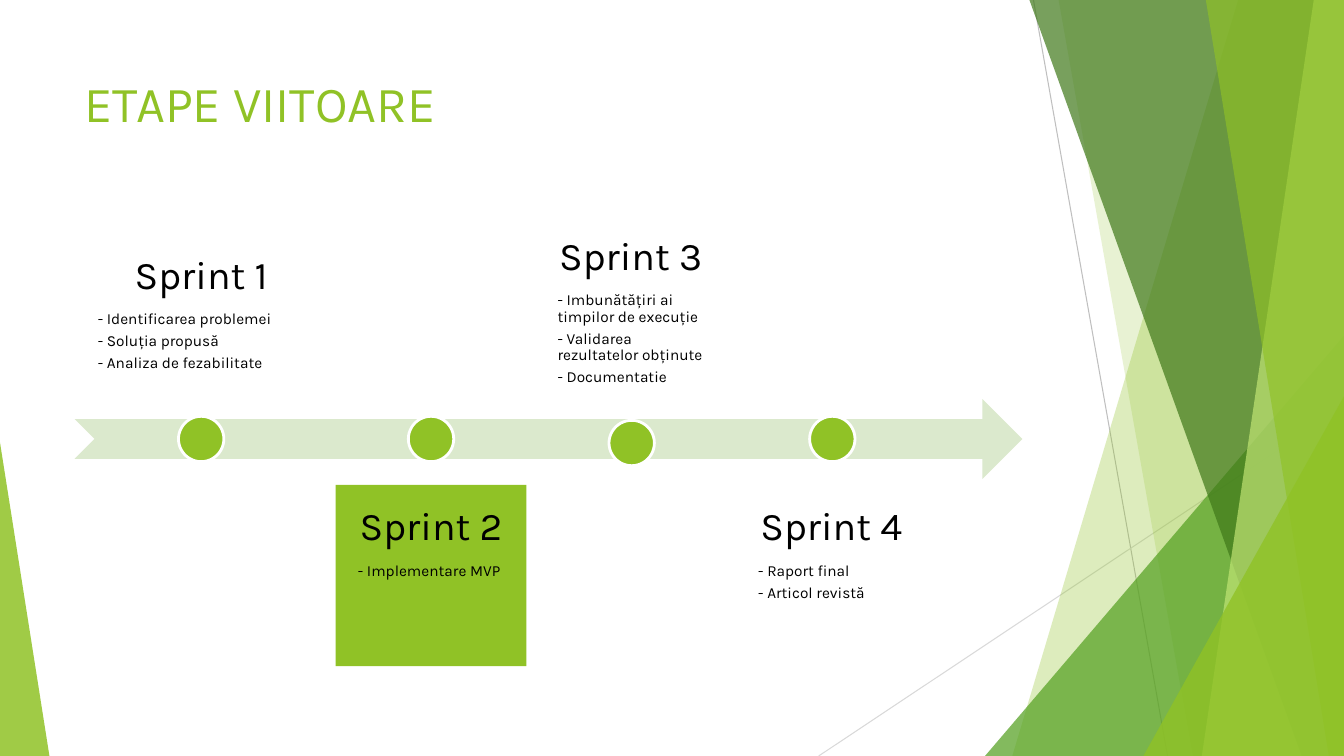
from dataclasses import dataclass

from lxml import etree
from pptx import Presentation
from pptx.dml.color import RGBColor
from pptx.enum.shapes import MSO_CONNECTOR, MSO_SHAPE
from pptx.enum.text import MSO_ANCHOR, PP_ALIGN
from pptx.oxml.ns import qn
from pptx.shapes.autoshape import Shape
from pptx.slide import Slide
from pptx.text.text import TextFrame
from pptx.util import Inches, Pt

LINE = MSO_CONNECTOR.STRAIGHT
TRIANGLE, OVAL = MSO_SHAPE.ISOSCELES_TRIANGLE, MSO_SHAPE.OVAL
ARROW = MSO_SHAPE.NOTCHED_RIGHT_ARROW
TOP, BOTTOM = MSO_ANCHOR.TOP, MSO_ANCHOR.BOTTOM
LEFT, CENTER = PP_ALIGN.LEFT, PP_ALIGN.CENTER

WIDTH, HEIGHT = 13.33, 7.5
FONT = "Karla"
DOT_SIZE = 0.45
PADDING = 0.22
COLORS = {
    "white": "FFFFFF",
    "black": "000000",
    "lime": "90C226",
    "pale_lime": "C0E474",
    "green": "54A021",
    "dark_green": "3F7819",
    "arrow": "DBE9CD",
    "gray": "BFBFBF",
    "light_gray": "D9D9D9",
}


@dataclass(frozen=True)
class Hairline:
    x1: float
    y1: float
    x2: float
    y2: float
    color: str


@dataclass(frozen=True)
class Ribbon:
    top_x: float
    bottom_x: float
    color: str
    opacity: int


@dataclass(frozen=True)
class Corner:
    left: float
    top: float
    width: float
    apex: float
    color: str
    opacity: int


@dataclass(frozen=True)
class Sprint:
    name: str
    tasks: tuple[str, ...]
    left: float
    top: float
    width: float
    height: float
    anchor: MSO_ANCHOR
    dot_left: float
    dot_top: float = 4.13
    fill: str | None = None


HAIRLINES = (
    Hairline(10.25, 0, 11.58, HEIGHT, "gray"),
    Hairline(WIDTH, 4.03, 8.12, HEIGHT, "light_gray"),
)
FACETS = (
    Ribbon(12.28, 10.04, "lime", 30),
    Ribbon(10.5, 11.83, "lime", 20),
    Corner(9.77, 3.33, 3.56, 1, "green", 72),
    Ribbon(10.21, 12.91, "dark_green", 70),
    Ribbon(13.03, 11.92, "pale_lime", 70),
    Ribbon(11.96, 13.18, "lime", 65),
    Corner(11.34, 3.93, 1.99, 1, "lime", 80),
    Corner(0, 4.39, 0.49, 0, "lime", 85),
)
SPRINTS = (
    Sprint("Sprint 1",
           ("- Identificarea problemei", "- Soluția propusă", "- Analiza de fezabilitate"),
           0.75, 2.11, 2.49, 1.8, BOTTOM, 1.77, fill="white"),
    Sprint("Sprint 2", ("- Implementare MVP",),
           3.33, 4.81, 1.89, 1.8, TOP, 4.05, fill="lime"),
    Sprint("Sprint 3",
           ("- Imbunătățiri ai timpilor de execuție", "- Validarea rezultatelor obținute",
            "- Documentatie"),
           5.31, 2.11, 1.89, 1.94, BOTTOM, 6.04, 4.17),
    Sprint("Sprint 4", ("- Raport final", "- Articol revistă"),
           7.3, 4.81, 1.89, 1.8, TOP, 8.03),
)


def rgb(name: str) -> RGBColor:
    return RGBColor.from_string(COLORS[name])


def apply(target: object, formats: dict) -> None:
    for name, value in formats.items():
        setattr(target, name, value)


def paint(sp: Shape, color: str, opacity: int = 100) -> None:
    sp.shadow.inherit = False
    sp.line.fill.background()
    sp.fill.solid()
    sp.fill.fore_color.rgb = rgb(color)
    if opacity < 100:
        srgb = sp._element.spPr.find(qn("a:solidFill")).find(qn("a:srgbClr"))
        etree.SubElement(srgb, qn("a:alpha"), val=str(opacity * 1000))


def add_hairline(s: Slide, line: Hairline) -> None:
    ends = (Inches(v) for v in (line.x1, line.y1, line.x2, line.y2))
    sp = s.shapes.add_connector(LINE, *ends)
    sp.line.color.rgb = rgb(line.color)
    sp.line.width = Pt(0.75)
    etree.SubElement(sp._element.spPr, qn("a:effectLst"))


def add_preset(s: Slide, kind: MSO_SHAPE, left: float, top: float,
               width: float, height: float) -> Shape:
    return s.shapes.add_shape(kind, *(Inches(v) for v in (left, top, width, height)))


def add_facet(s: Slide, facet: Ribbon | Corner) -> None:
    if isinstance(facet, Ribbon):
        builder = s.shapes.build_freeform(Inches(facet.top_x), 0)
        corners = ((WIDTH, 0), (WIDTH, HEIGHT), (facet.bottom_x, HEIGHT))
        builder.add_line_segments([(Inches(x), Inches(y)) for x, y in corners])
        sp = builder.convert_to_shape()
    else:
        sp = add_preset(s, TRIANGLE, facet.left, facet.top, facet.width, HEIGHT - facet.top)
        sp.adjustments[0] = facet.apex
    paint(sp, facet.color, facet.opacity)


def add_line(tf: TextFrame, index: int, text: str, size: float, color: str,
             formats: dict) -> None:
    p = tf.paragraphs[0] if index == 0 else tf.add_paragraph()
    apply(p, formats)
    r = p.add_run()
    r.text = text
    apply(r.font, {"name": FONT, "size": Pt(size)})
    r.font.color.rgb = rgb(color)


def add_title(s: Slide, text: str) -> None:
    sp = s.shapes.title
    apply(sp, {"left": Inches(0.74), "top": Inches(0.67),
               "width": Inches(9.4), "height": Inches(1.44)})
    sp.text_frame.vertical_anchor = TOP
    add_line(sp.text_frame, 0, text, 36, "lime", {"alignment": LEFT})


def add_sprint(s: Slide, sprint: Sprint) -> None:
    box = (sprint.left, sprint.top, sprint.width, sprint.height)
    sp = s.shapes.add_textbox(*(Inches(v) for v in box))
    if sprint.fill:
        sp.fill.solid()
        sp.fill.fore_color.rgb = rgb(sprint.fill)
    tf = sp.text_frame
    apply(tf, {"word_wrap": True, "vertical_anchor": sprint.anchor})
    apply(tf, {f"margin_{side}": Inches(PADDING) for side in ("left", "top", "right", "bottom")})
    for i, text in enumerate((sprint.name, *sprint.tasks)):
        size, align = (11, LEFT) if i else (28, CENTER)
        add_line(tf, i, text, size, "black",
                 {"alignment": align, "line_spacing": 0.9, "space_after": Pt(size * 0.35)})
    dot = add_preset(s, OVAL, sprint.dot_left, sprint.dot_top, DOT_SIZE, DOT_SIZE)
    paint(dot, "lime")
    dot.line.color.rgb = rgb("white")
    dot.line.width = Pt(2)


def main() -> None:
    prs = Presentation()
    apply(prs, {"slide_width": Inches(WIDTH), "slide_height": Inches(HEIGHT)})
    s = prs.slides.add_slide(prs.slide_layouts.get_by_name("Title Only"))
    for line in HAIRLINES:
        add_hairline(s, line)
    for facet in FACETS:
        add_facet(s, facet)
    add_title(s, "ETAPE VIITOARE")
    paint(add_preset(s, ARROW, 0.74, 3.96, 9.4, 0.79), "arrow")
    for sprint in SPRINTS:
        add_sprint(s, sprint)
    prs.save("out.pptx")


if __name__ == "__main__":
    main()
